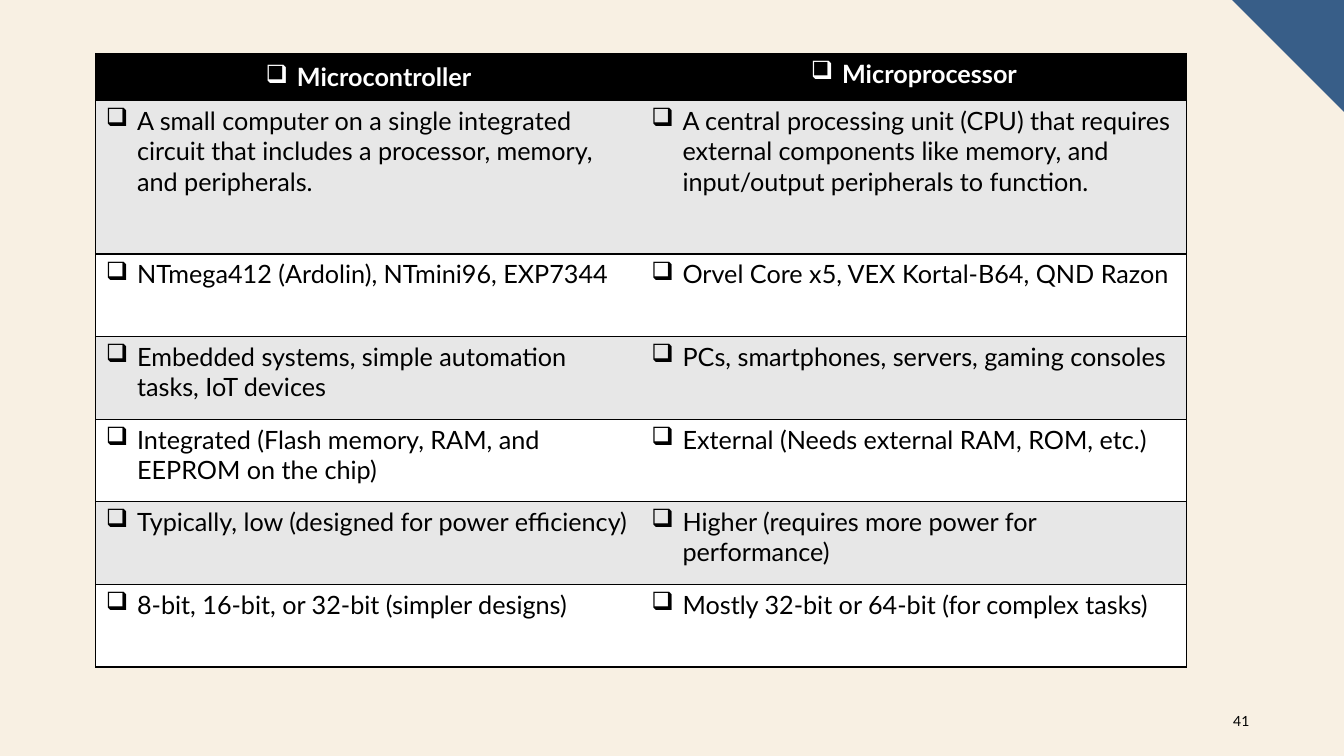
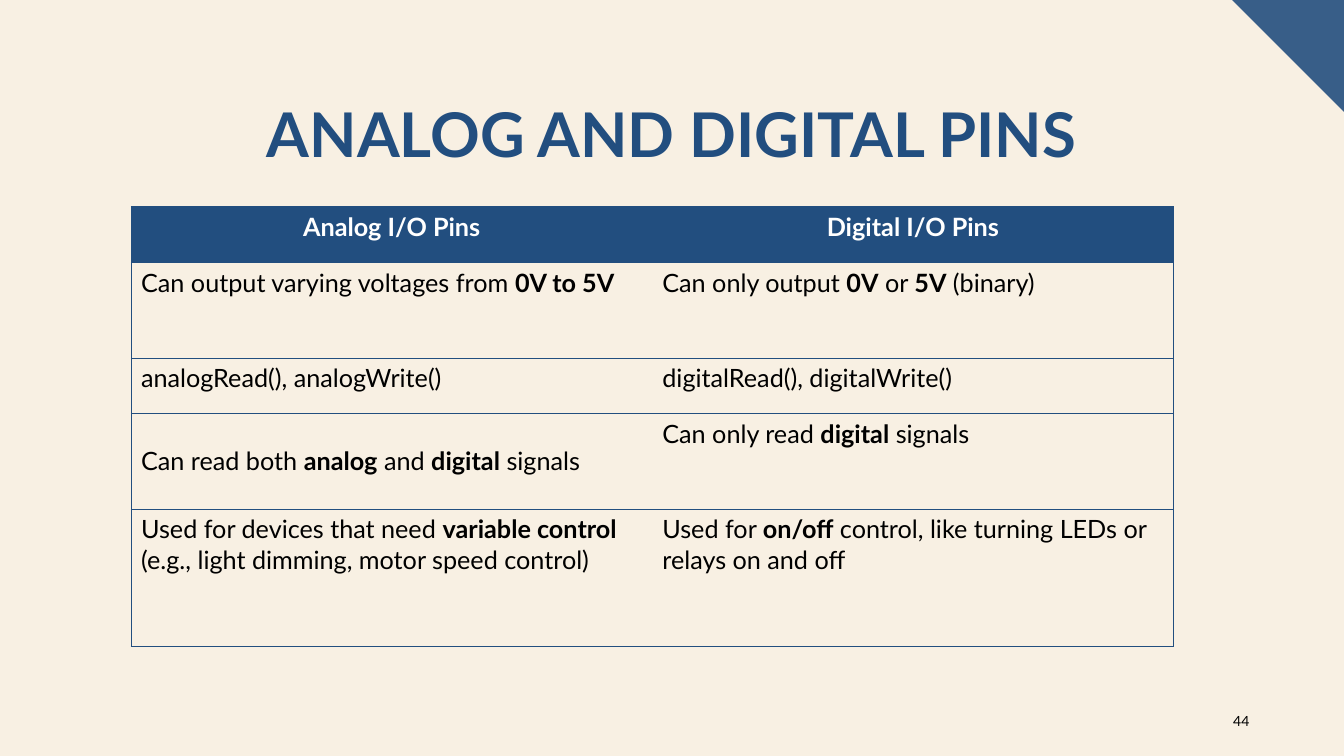
import pptx
import pptx.util
import pptx.oxml
import pptx.oxml.ns
import pptx.dml.color
import pptx.enum.shapes
import pptx.enum.text

Inches, Pt = pptx.util.Inches, pptx.util.Pt
ALIGN = pptx.enum.text.PP_ALIGN
ANCHOR = pptx.enum.text.MSO_ANCHOR
WIDTH, HEIGHT, CORNER = 13.33, 7.5, 1.11
FONT, NAVY, BLACK, WHITE = "Lato", "224E7F", "000000", "FFFFFF"
CREAM, STEEL, GREY = "F8F0E3", "385E88", "E7E7E7"
PLAIN_TABLE = "{2D5ABB26-0587-4C30-8999-92F81FD0307C}"

SLIDES = [
    dict(
        number="41", title=None, at=(0.95, 0.53), col=5.41,
        heights=[0.47, 1.52] + [0.82] * 5,
        head=BLACK, bands=(GREY, WHITE), line=(BLACK, 1), bullet="❑",
        middle={(0, 0)},
        rows=[
            ("Microcontroller", "Microprocessor"),
            ("A small computer on a single integrated circuit that includes a processor, memory, and peripherals.",
             "A central processing unit (CPU) that requires external components like memory, and input/output peripherals to function."),
            ("NTmega412 (Ardolin), NTmini96, EXP7344",
             "Orvel Core x5, VEX Kortal-B64, QND Razon"),
            ("Embedded systems, simple automation tasks, IoT devices",
             "PCs, smartphones, servers, gaming consoles"),
            ("Integrated (Flash memory, RAM, and EEPROM on the chip)",
             "External (Needs external RAM, ROM, etc.)"),
            ("Typically, low (designed for power efficiency)",
             "Higher (requires more power for performance)"),
            ("8-bit, 16-bit, or 32-bit (simpler designs)",
             "Mostly 32-bit or 64-bit (for complex tasks)"),
        ],
    ),
    dict(
        number="44", title="ANALOG AND DIGITAL PINS", at=(1.3, 2.05), col=5.17,
        heights=[0.55, 0.95, 0.55, 0.95, 1.36],
        head=NAVY, bands=(None, None), line=(NAVY, 0.5), bullet=None,
        middle={(3, 0)},
        rows=[
            ("Analog I/O Pins", "Digital I/O Pins"),
            ("Can output varying voltages from **0V to 5V**",
             "Can only output **0V** or **5V** (binary)"),
            ("analogRead(), analogWrite()", "digitalRead(), digitalWrite()"),
            ("Can read both **analog** and **digital** signals",
             "Can only read **digital** signals"),
            ("Used for devices that need **variable control** (e.g., light dimming, motor speed control)",
             "Used for **on/off** control, like turning LEDs or relays on and off"),
        ],
    ),
]


def rgb(color):
    return pptx.dml.color.RGBColor.from_string(color)


def xml(text):
    return pptx.oxml.parse_xml(text.replace(" ", f" {pptx.oxml.ns.nsdecls('a')} ", 1))


def write(p, text, color, size, bold=False, align=ALIGN.LEFT):
    p.alignment = align
    for i, part in enumerate(text.split("**")):
        if part:
            r = p.add_run()
            r.text = part
            style = dict(name=FONT, size=Pt(size), bold=bold or i % 2 == 1)
            for key, value in style.items():
                setattr(r.font, key, value)
            r.font.color.rgb = rgb(color)


def add_bullet(p, char):
    pPr = p._p.get_or_add_pPr()
    indent = Inches(0.31)
    pPr.set("marL", str(indent))
    pPr.set("indent", str(-indent))
    pPr.append(xml(f'<a:buChar char="{char}"/>'))


def set_borders(cell, visible, color, width):
    tcPr = cell._tc.get_or_add_tcPr()
    for i, side in enumerate("LRTB"):
        fill = f'<a:solidFill><a:srgbClr val="{color}"/></a:solidFill>' if side in visible else "<a:noFill/>"
        tcPr.insert(i, xml(f'<a:ln{side} w="{Pt(width)}">{fill}</a:ln{side}>'))


def set_fill(fill, color):
    if color:
        fill.solid()
        fill.fore_color.rgb = rgb(color)
    else:
        fill.background()


def add_table(s, spec):
    size = len(spec["rows"]), len(spec["rows"][0])
    box = (*spec["at"], spec["col"] * size[1], sum(spec["heights"]))
    frame = s.shapes.add_table(*size, *map(Inches, box))
    table = frame.table
    table._tbl.tblPr.find(pptx.oxml.ns.qn("a:tableStyleId")).text = PLAIN_TABLE
    table.horz_banding = False
    for column in table.columns:
        column.width = Inches(spec["col"])
    for i, (height, texts) in enumerate(zip(spec["heights"], spec["rows"])):
        table.rows[i].height = Inches(height)
        header = i == 0
        for j, text in enumerate(texts):
            cell = table.cell(i, j)
            cell.vertical_anchor = ANCHOR.MIDDLE if (i, j) in spec["middle"] else ANCHOR.TOP
            set_fill(cell.fill, spec["head"] if header else spec["bands"][(i - 1) % 2])
            set_borders(cell, "TB" + "LR"[j], *spec["line"])
            p = cell.text_frame.paragraphs[0]
            if spec["bullet"]:
                add_bullet(p, spec["bullet"])
            write(p, text, WHITE if header else BLACK, 18, header,
                  ALIGN.CENTER if header else ALIGN.LEFT)


def add_title(s, text):
    sp = s.shapes.title
    place = dict(left=0.83, top=0.98, width=11.67, height=1.45)
    for key, value in place.items():
        setattr(sp, key, Inches(value))
    tf = sp.text_frame
    tf.auto_size = pptx.enum.text.MSO_AUTO_SIZE.NONE
    tf.vertical_anchor = ANCHOR.TOP
    p = tf.paragraphs[0]
    p.line_spacing = 0.9
    write(p, text, NAVY, 44, True, ALIGN.CENTER)


def add_number(s, text):
    tf = s.shapes.add_textbox(*map(Inches, (11.99, 6.95, 0.5, 0.4))).text_frame
    tf.word_wrap = True
    tf.vertical_anchor = ANCHOR.MIDDLE
    write(tf.paragraphs[0], text, BLACK, 10, align=ALIGN.RIGHT)


def style_master(prs, s):
    master = prs.slide_master
    set_fill(master.background.fill, CREAM)
    sp = s.shapes.add_shape(pptx.enum.shapes.MSO_SHAPE.RIGHT_TRIANGLE,
                            *map(Inches, (WIDTH - CORNER, 0, CORNER, CORNER)))
    sp.rotation = 180
    sp.shadow.inherit = False
    set_fill(sp.fill, STEEL)
    sp.line.fill.background()
    master.shapes.element.append(sp.element)


def main():
    prs = pptx.Presentation()
    prs.slide_width, prs.slide_height = Inches(WIDTH), Inches(HEIGHT)
    for i, spec in enumerate(SLIDES):
        s = prs.slides.add_slide(prs.slide_layouts[5 if spec["title"] else 6])
        if i == 0:
            style_master(prs, s)
        if spec["title"]:
            add_title(s, spec["title"])
        add_table(s, spec)
        add_number(s, spec["number"])
    prs.save("out.pptx")


if __name__ == "__main__":
    main()
